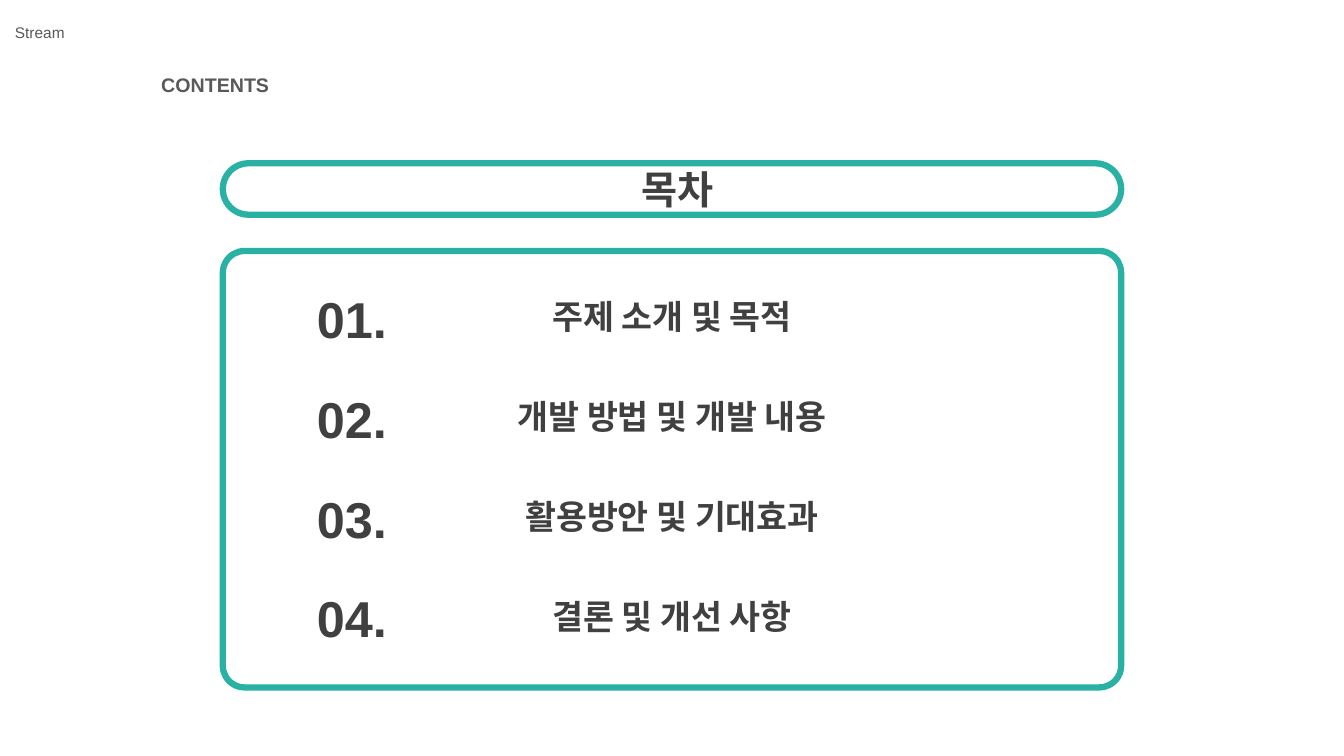
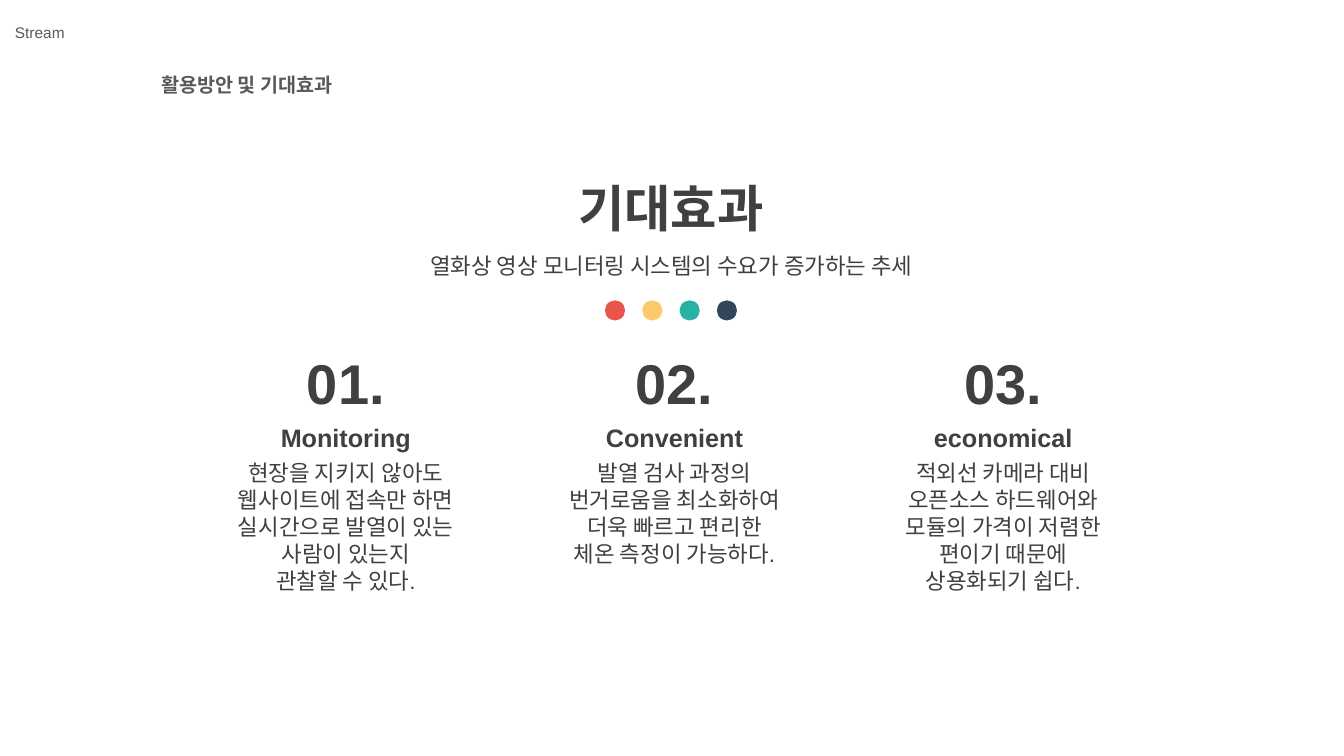
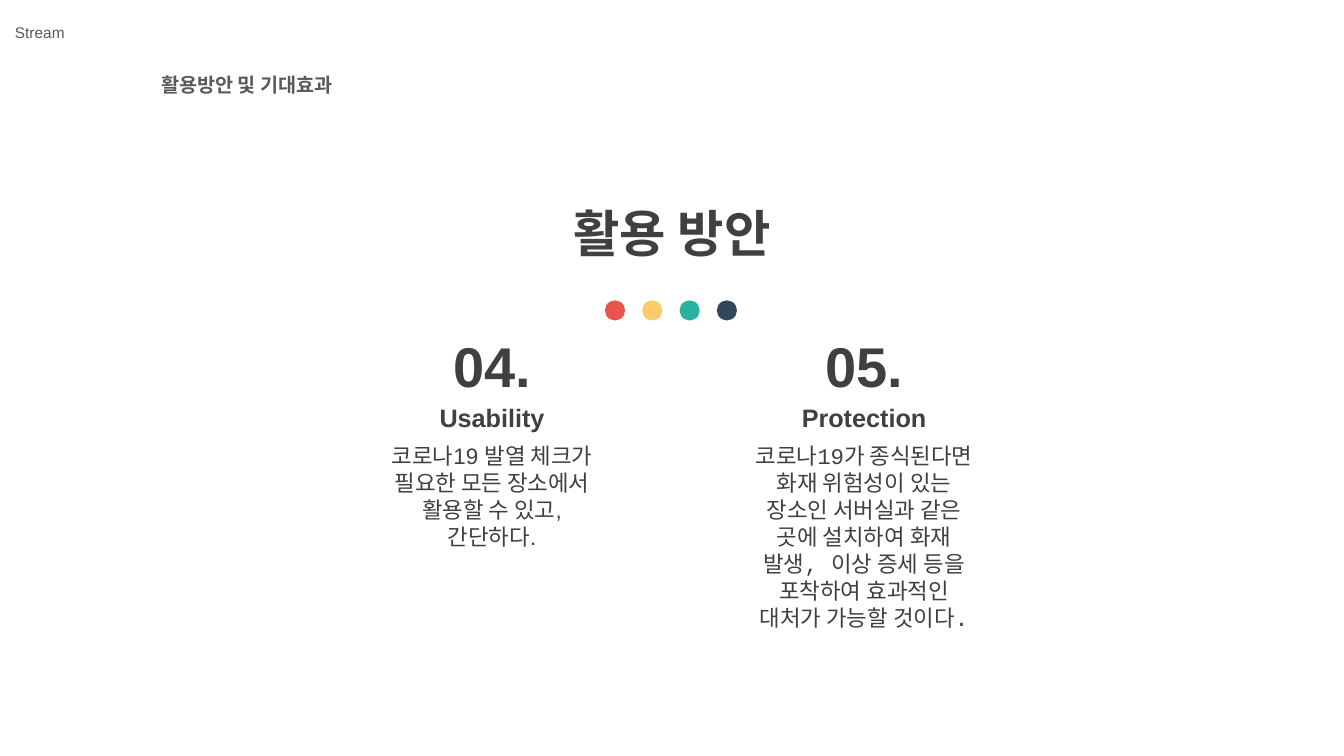
import pptx
import pptx.util
import pptx.dml.color
import pptx.enum.shapes
import pptx.enum.text

Inches = pptx.util.Inches
Pt = pptx.util.Pt
RGBColor = pptx.dml.color.RGBColor
Shape = pptx.enum.shapes.MSO_SHAPE
Align = pptx.enum.text.PP_ALIGN
Fit = pptx.enum.text.MSO_AUTO_SIZE
Anchor = pptx.enum.text.MSO_ANCHOR

DARK = RGBColor(0x40, 0x40, 0x40)
GREY = RGBColor(0x59, 0x59, 0x59)
RED = RGBColor(0xE9, 0x55, 0x4C)
GOLD = RGBColor(0xFC, 0xCB, 0x69)
TEAL = RGBColor(0x29, 0xB1, 0xA3)
NAVY = RGBColor(0x32, 0x48, 0x5A)


def style(size, bold=False, color=DARK, name="Arial"):
    return {"size": Pt(size), "bold": bold, "name": name, "color": color}


BRAND = style(11, color=GREY)
HEAD = style(14, True, GREY)
BODY = style(16)
MONO = style(16, name="Courier New")
SUB = style(18, True)
ITEM = style(24, True)
LABEL = style(28, True)
TITLE = style(36, True)
NUMBER = style(40, True)


def write(frame, lines, look, align=Align.CENTER, space=None):
    """Fill a text frame with one paragraph for each line."""
    frame.word_wrap = True
    for i, line in enumerate(lines):
        para = frame.paragraphs[0] if i == 0 else frame.add_paragraph()
        para.alignment = align
        if space:
            para.line_spacing = space
        run = para.add_run()
        run.text = line
        for key, value in look.items():
            if key == "color":
                run.font.color.rgb = value
            else:
                setattr(run.font, key, value)


def text(shapes, box, lines, look, **more):
    frame = shapes.add_textbox(*map(Inches, box)).text_frame
    write(frame, lines, look, **more)
    frame.auto_size = Fit.SHAPE_TO_FIT_TEXT


def frame(shapes, box, round):
    """Draw a teal outline with rounded corners."""
    shape = shapes.add_shape(Shape.ROUNDED_RECTANGLE, *map(Inches, box))
    shape.shadow.inherit = False
    shape.adjustments[0] = round
    shape.fill.background()
    shape.line.color.rgb = TEAL
    shape.line.width = Pt(4.5)
    return shape


def start(deck, head):
    """Add a slide with the shared header and return its shapes."""
    shapes = deck.slides.add_slide(deck.slide_layouts[6]).shapes
    text(shapes, (1.5, 0.67, 10.83, 0.32), [head], HEAD, align=Align.LEFT)
    text(shapes, (0.05, 0.18, 2.41, 0.29), ["Stream"], BRAND, align=Align.LEFT)
    return shapes


def dots(shapes, left, top):
    group = shapes.add_group_shape().shapes
    for i, color in enumerate((RED, GOLD, TEAL, NAVY)):
        box = (left + 0.37 * i, top, 0.2, 0.2)
        dot = group.add_shape(Shape.OVAL, *map(Inches, box))
        dot.shadow.inherit = False
        dot.fill.solid()
        dot.fill.fore_color.rgb = color
        dot.line.fill.background()


def card(shapes, mid, top, gap, number, name, lines, size, look=BODY):
    """Stack number, name and body around the centre line mid."""
    group = shapes.add_group_shape().shapes
    left = mid - 0.91
    width, height = size
    text(group, (mid - width / 2, top + 1.1, width, height), lines, look)
    text(group, (left, top + gap, 1.82, 0.4), [name], SUB)
    text(group, (left, top, 1.82, 0.77), [number], NUMBER)


def contents(deck):
    shapes = start(deck, "CONTENTS")
    left, width = 2.21, 8.91
    label = frame(shapes, (left, 1.62, width, 0.51), 0.5).text_frame
    label.margin_left = Inches(0.2)
    label.vertical_anchor = Anchor.MIDDLE
    write(label, ["목차"], LABEL)
    frame(shapes, (left, 2.49, width, 4.33), 0.05)
    items = ("주제 소개 및 목적", "개발 방법 및 개발 내용",
             "활용방안 및 기대효과", "결론 및 개선 사항")
    for i, item in enumerate(items):
        top = 2.81 + 0.99 * i
        text(shapes, (left + 0.36, top, 1.84, 0.7), [f"{i + 1:02}."], TITLE)
        text(shapes, (left + 0.79, top + 0.08, 7.33, 0.49), [item], ITEM)


def effects(deck):
    shapes = start(deck, "활용방안 및 기대효과")
    text(shapes, (3.24, 1.71, 6.83, 0.71), ["기대효과"], TITLE)
    text(shapes, (2.39, 2.29, 8.54, 0.52),
         ["열화상 영상 모니터링 시스템의 수요가 증가하는 추세"], MONO, space=1.6)
    dots(shapes, 6, 2.98)
    cards = (
        ("01.", "Monitoring",
         ["현장을 지키지 않아도 웹사이트에 접속만 하면 실시간으로 발열이 있는 사람이 있는지",
          "관찰할 수 있다."], (2.37, 1.42)),
        ("02.", "Convenient",
         ["발열 검사 과정의", "번거로움을 최소화하여 더욱 빠르고 편리한",
          "체온 측정이 가능하다."], (2.5, 1.16)),
        ("03.", "economical",
         ["적외선 카메라 대비", "오픈소스 하드웨어와", "모듈의 가격이 저렴한",
          "편이기 때문에", "상용화되기 쉽다."], (2.59, 1.42)),
    )
    for i, parts in enumerate(cards):
        card(shapes, 3.43 + 3.26 * i, 3.41, 0.73, *parts)


def uses(deck):
    shapes = start(deck, "활용방안 및 기대효과")
    text(shapes, (3.25, 1.96, 6.83, 0.71), ["활용 방안"], TITLE)
    dots(shapes, 6, 2.98)
    cards = (
        ("04.", "Usability",
         ["코로나19 발열 체크가 필요한 모든 장소에서 활용할 수 있고,",
          "간단하다."], (2.35, 1.18)),
        ("05.", "Protection",
         ["코로나19가 종식된다면 화재 위험성이 있는",
          "장소인 서버실과 같은 곳에 설치하여 화재", "발생, 이상 증세 등을",
          "포착하여 효과적인", "대처가 가능할 것이다."], (2.57, 1.99), MONO),
    )
    for i, parts in enumerate(cards):
        card(shapes, 4.88 + 3.69 * i, 3.24, 0.7, *parts)


def main():
    deck = pptx.Presentation()
    deck.slide_width = Inches(13.33)
    deck.slide_height = Inches(7.5)
    for build in (contents, effects, uses):
        build(deck)
    deck.save("out.pptx")


if __name__ == "__main__":
    main()
